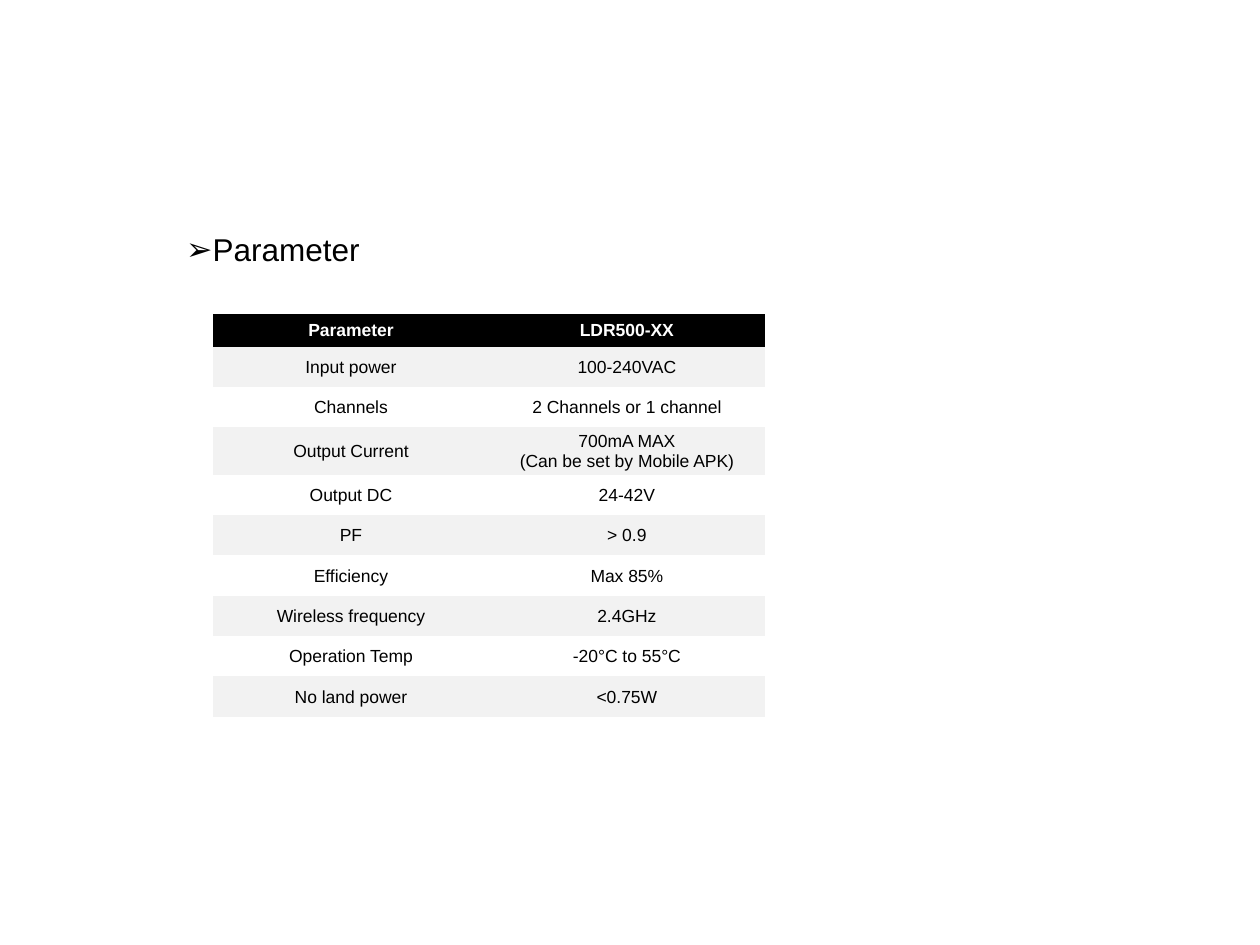
from typing import NamedTuple

from lxml import etree
from pptx import Presentation
from pptx.dml.color import RGBColor
from pptx.enum.text import MSO_ANCHOR, MSO_AUTO_SIZE, PP_ALIGN
from pptx.oxml.ns import qn
from pptx.util import Inches, Pt

CENTER = PP_ALIGN.CENTER
MIDDLE = MSO_ANCHOR.MIDDLE
FIT_SHAPE = MSO_AUTO_SIZE.SHAPE_TO_FIT_TEXT

FONT = "Arial"
BLACK, WHITE, BAND = "000000", "FFFFFF", "F2F2F2"
PLAIN_TABLE_STYLE = "{2D5ABB26-0587-4C30-8999-92F81FD0307C}"
COLUMN_WIDTH = 2.19


class Row(NamedTuple):
    label: str
    value: str
    height: float = 0.32


ROWS = [
    Row("Parameter", "LDR500-XX", 0.26),
    Row("Input power", "100-240VAC"),
    Row("Channels", "2 Channels or 1 channel"),
    Row("Output Current", "700mA MAX\n(Can be set by Mobile APK)", 0.38),
    Row("Output DC", "24-42V"),
    Row("PF", "> 0.9"),
    Row("Efficiency", "Max 85%"),
    Row("Wireless frequency", "2.4GHz"),
    Row("Operation Temp", "-20°C to 55°C"),
    Row("No land power", "<0.75W"),
]


def color(value: str) -> RGBColor:
    return RGBColor.from_string(value)


def add_run(paragraph, text: str, size: float, hex_color: str, bold: bool = False) -> None:
    run = paragraph.add_run()
    run.text = text
    run.font.name = FONT
    run.font.size = Pt(size)
    run.font.bold = bold
    run.font.color.rgb = color(hex_color)


def fill_cell(cell, text: str, row_index: int) -> None:
    is_header = row_index == 0
    cell.vertical_anchor = MIDDLE
    cell.margin_left = cell.margin_top = cell.margin_right = Inches(0.01)
    cell.margin_bottom = Inches(0)
    if is_header or row_index % 2:
        cell.fill.solid()
        cell.fill.fore_color.rgb = color(BLACK if is_header else BAND)
    else:
        cell.fill.background()
    paragraph = cell.text_frame.paragraphs[0]
    paragraph.alignment = CENTER
    for line_index, line in enumerate(text.split("\n")):
        if line_index:
            paragraph.add_line_break()
        add_run(paragraph, line, 10, WHITE if is_header else BLACK, is_header)


def add_parameter_table(slide) -> None:
    height = sum(row.height for row in ROWS)
    frame = slide.shapes.add_table(
        len(ROWS), 2, Inches(1.69), Inches(2.49), Inches(2 * COLUMN_WIDTH), Inches(height)
    )
    table = frame.table
    table.horz_banding = False
    table._tbl.tblPr.find(qn("a:tableStyleId")).text = PLAIN_TABLE_STYLE
    for column in table.columns:
        column.width = Inches(COLUMN_WIDTH)
    for row_index, row in enumerate(ROWS):
        table.rows[row_index].height = Inches(row.height)
        for column_index, text in enumerate((row.label, row.value)):
            fill_cell(table.cell(row_index, column_index), text, row_index)


def add_heading(slide, text: str) -> None:
    box = slide.shapes.add_textbox(Inches(1.38), Inches(1.78), Inches(3.07), Inches(0.4))
    box.text_frame.word_wrap = True
    box.text_frame.auto_size = FIT_SHAPE
    paragraph = box.text_frame.paragraphs[0]
    add_run(paragraph, text, 18, BLACK)
    # Arrow bullet with a hanging indent
    properties = paragraph._p.get_or_add_pPr()
    properties.set("marL", str(Inches(0.2)))
    properties.set("indent", str(-Inches(0.2)))
    etree.SubElement(properties, qn("a:buFont")).set("typeface", FONT)
    etree.SubElement(properties, qn("a:buChar")).set("char", "➢")


# Presentation and blank slide
presentation = Presentation()
presentation.slide_width = Inches(10)
presentation.slide_height = Inches(7.5)
slide = presentation.slides.add_slide(presentation.slide_layouts[6])

# Slide content
add_parameter_table(slide)
add_heading(slide, "Parameter")

presentation.save("out.pptx")
